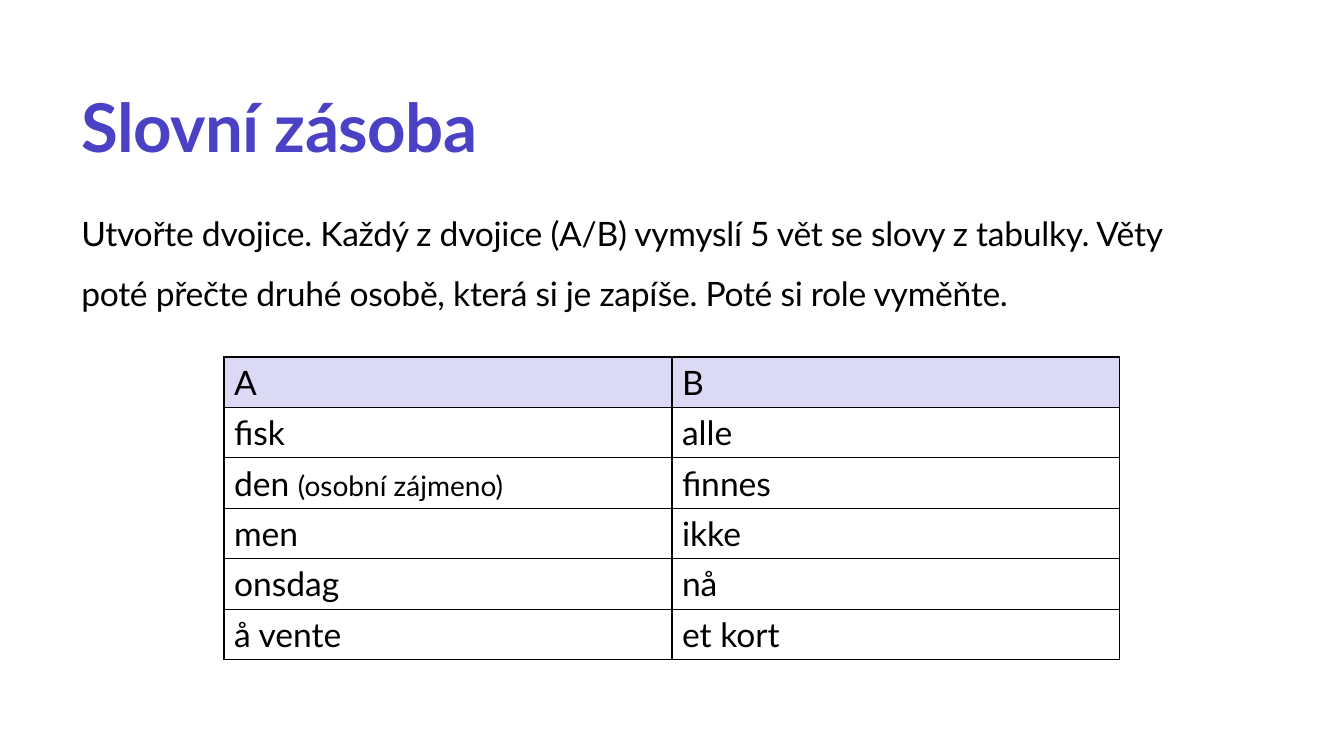
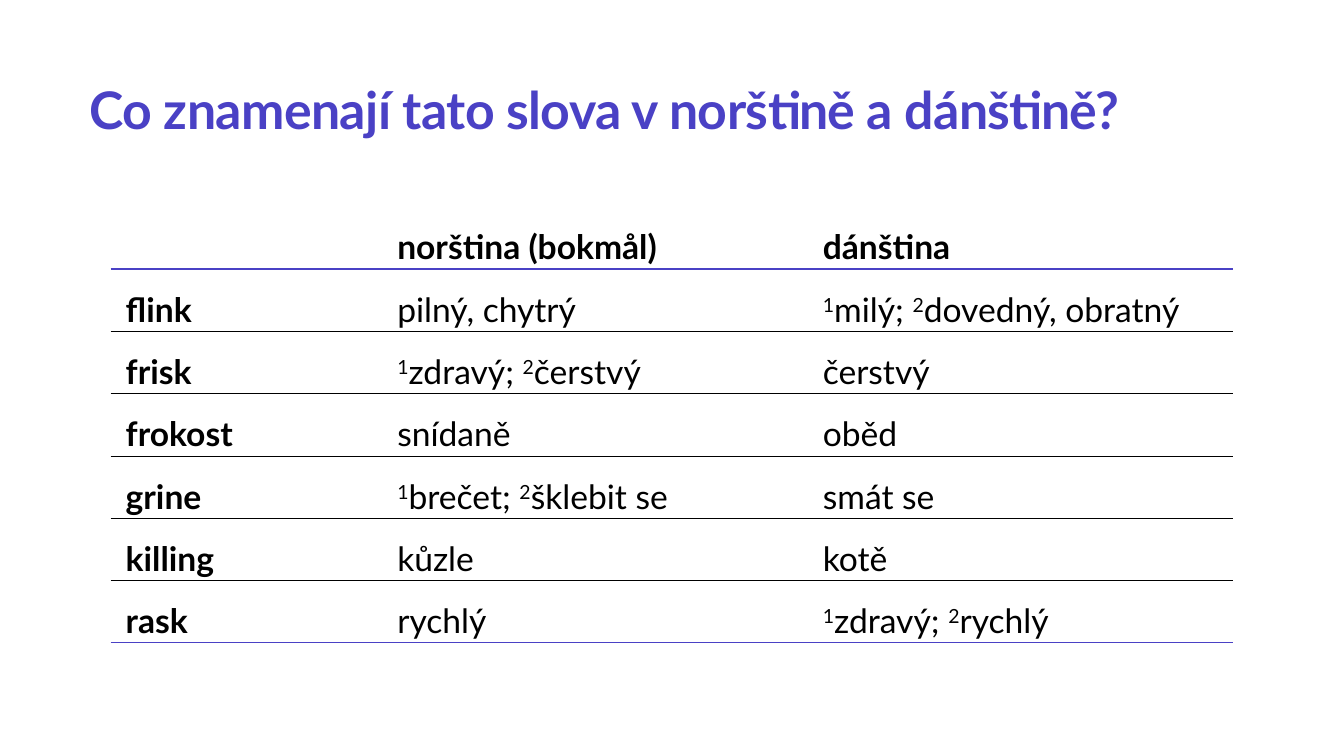
import pptx
import pptx.dml.color
import pptx.enum.text
import pptx.oxml.ns
import pptx.util
from dataclasses import dataclass
from lxml import etree

Pt = pptx.util.Pt
Anchor = pptx.enum.text.MSO_ANCHOR
Align = pptx.enum.text.PP_ALIGN
qn = pptx.oxml.ns.qn

# Shared style
FONT = "Lato"
COLORS = {"accent": "4A41C5", "text": "000000", "header": "DBD9F3"}
NO_STYLE = "{2D5ABB26-0587-4C30-8999-92F81FD0307C}"


@dataclass(frozen=True)
class Span:
    text: str
    size: float = 24
    bold: bool = False
    raised: bool = False
    color: str = "text"
    spacing: float = 0


@dataclass(frozen=True)
class Box:
    left: float
    top: float
    width: float
    height: float

    def lengths(self) -> tuple:
        return Pt(self.left), Pt(self.top), Pt(self.width), Pt(self.height)


@dataclass(frozen=True)
class Border:
    color: str
    width: float


@dataclass(frozen=True)
class CellLayout:
    margins: tuple[float, float]
    line_spacing: float
    space_after: float
    alignment: Align


def rgb(name: str) -> pptx.dml.color.RGBColor:
    return pptx.dml.color.RGBColor.from_string(COLORS[name])


def write_spans(paragraph, spans: list[Span]) -> None:
    paragraph.text = spans[0].text
    for span in spans[1:]:
        paragraph.add_run().text = span.text
    for run, span in zip(paragraph.runs, spans):
        run.font.name = FONT
        run.font.size = Pt(span.size)
        run.font.bold = span.bold
        run.font.color.rgb = rgb(span.color)
        properties = run.font._element
        if span.raised:
            properties.set("baseline", "30000")
        if span.spacing:
            properties.set("spc", str(round(span.spacing * 100)))


def add_text(slide, box: Box, span: Span, line_spacing: float, anchor: Anchor = Anchor.TOP) -> None:
    frame = slide.shapes.add_textbox(*box.lengths()).text_frame
    frame.word_wrap = True
    frame.vertical_anchor = anchor
    frame.paragraphs[0].line_spacing = line_spacing
    write_spans(frame.paragraphs[0], [span])


def add_title(slide, box: Box, text: str, size: float, anchor: Anchor = Anchor.TOP) -> None:
    title = Span(text, size, bold=True, color="accent", spacing=-0.4)
    add_text(slide, box, title, 0.9, anchor)


def add_plain_table(slide, left: float, top: float, columns: list[float], rows: int, row_height: float):
    box = Box(left, top, sum(columns), rows * row_height)
    table = slide.shapes.add_table(rows, len(columns), *box.lengths()).table
    table.first_row = table.horz_banding = False
    table._tbl.tblPr.find(qn("a:tableStyleId")).text = NO_STYLE
    for column, width in zip(table.columns, columns):
        column.width = Pt(width)
    for row in table.rows:
        row.height = Pt(row_height)
    return table


def set_borders(cell, borders: dict[str, Border]) -> None:
    properties = cell._tc.get_or_add_tcPr()
    for side in "LRTB":
        if side in borders:
            border = borders[side]
            line = etree.SubElement(properties, qn(f"a:ln{side}"), w=str(Pt(border.width)))
            fill = etree.SubElement(line, qn("a:solidFill"))
            etree.SubElement(fill, qn("a:srgbClr"), val=COLORS[border.color])


def fill_cell(cell, spans: list[Span], layout: CellLayout, borders: dict[str, Border], fill: str = "") -> None:
    side, edge = layout.margins
    cell.margin_left = cell.margin_right = Pt(side)
    cell.margin_top = cell.margin_bottom = Pt(edge)
    set_borders(cell, borders)
    if fill:
        cell.fill.solid()
        cell.fill.fore_color.rgb = rgb(fill)
    else:
        cell.fill.background()
    if spans:
        paragraph = cell.text_frame.paragraphs[0]
        paragraph.alignment = layout.alignment
        paragraph.line_spacing = layout.line_spacing
        paragraph.space_after = Pt(layout.space_after)
        write_spans(paragraph, spans)


def meaning_spans(meanings: str) -> list[Span]:
    """Number the senses when a word has more than one."""
    senses = meanings.split("; ")
    if len(senses) == 1:
        return [Span(meanings)]
    spans = []
    for number, sense in enumerate(senses, 1):
        ending = "; " if number < len(senses) else ""
        spans += [Span(str(number), raised=True), Span(sense + ending)]
    return spans


# Slide 1: vocabulary exercise
def build_vocabulary(slide) -> None:
    add_title(slide, Box(51, 29, 831, 94), "Slovní zásoba", 48, Anchor.BOTTOM)
    instructions = (
        "Utvořte dvojice. Každý z dvojice (A/B) vymyslí 5 vět se slovy z tabulky. "
        "Věty poté přečte druhé osobě, která si je zapíše. Poté si role vyměňte."
    )
    add_text(slide, Box(51, 134, 831, 353), Span(instructions, spacing=-0.2), 1.5)

    word_pairs = [
        ("A", "B"),
        ("fisk", "alle"),
        ("den ", "finnes"),
        ("men", "ikke"),
        ("onsdag", "nå"),
        ("å vente", "et kort"),
    ]
    hints = {"den ": Span("(osobní zájmeno)", 20)}
    layout = CellLayout((7.2, 3.6), 1, 0, Align.LEFT)
    grid = dict.fromkeys("LRTB", Border("text", 1))
    table = add_plain_table(slide, 160, 255, [320, 320], len(word_pairs), 36)
    for r, pair in enumerate(word_pairs):
        for c, word in enumerate(pair):
            spans = [Span(word)] + ([hints[word]] if word in hints else [])
            fill_cell(table.cell(r, c), spans, layout, grid, "" if r else "header")


# Slide 2: Norwegian and Danish meanings
def build_meanings(slide) -> None:
    add_title(slide, Box(57, 57, 847, 62), "Co znamenají tato slova v norštině a dánštině?", 37)
    entries = [
        ("", "norština (bokmål)", "dánština"),
        ("flink", "pilný, chytrý", "milý; dovedný, obratný"),
        ("frisk", "zdravý; čerstvý", "čerstvý"),
        ("frokost", "snídaně", "oběd"),
        ("grine", "brečet; šklebit se", "smát se"),
        ("killing", "kůzle", "kotě"),
        ("rask", "rychlý", "zdravý; rychlý"),
    ]
    layout = CellLayout((10.8, 0), 1.5, 8, Align.JUSTIFY)
    # One rule below each row: thick under the header, accent at the end
    rules = [Border("text", 0.25)] * len(entries)
    rules[0] = Border("accent", 1.5)
    rules[-1] = Border("accent", 1)
    table = add_plain_table(slide, 79, 147.5, [194, 304, 304], len(entries), 44.55)
    for r, entry in enumerate(entries):
        borders = {"B": rules[r]}
        if r:
            borders["T"] = rules[r - 1]
        for c, text in enumerate(entry):
            is_heading = r == 0 or c == 0
            spans = [Span(text, bold=True)] if is_heading else meaning_spans(text)
            fill_cell(table.cell(r, c), spans if text else [], layout, borders)


def main() -> None:
    deck = pptx.Presentation()
    deck.slide_width, deck.slide_height = Pt(960), Pt(540)
    for build in (build_vocabulary, build_meanings):
        build(deck.slides.add_slide(deck.slide_layouts[6]))
    deck.save("out.pptx")


if __name__ == "__main__":
    main()
